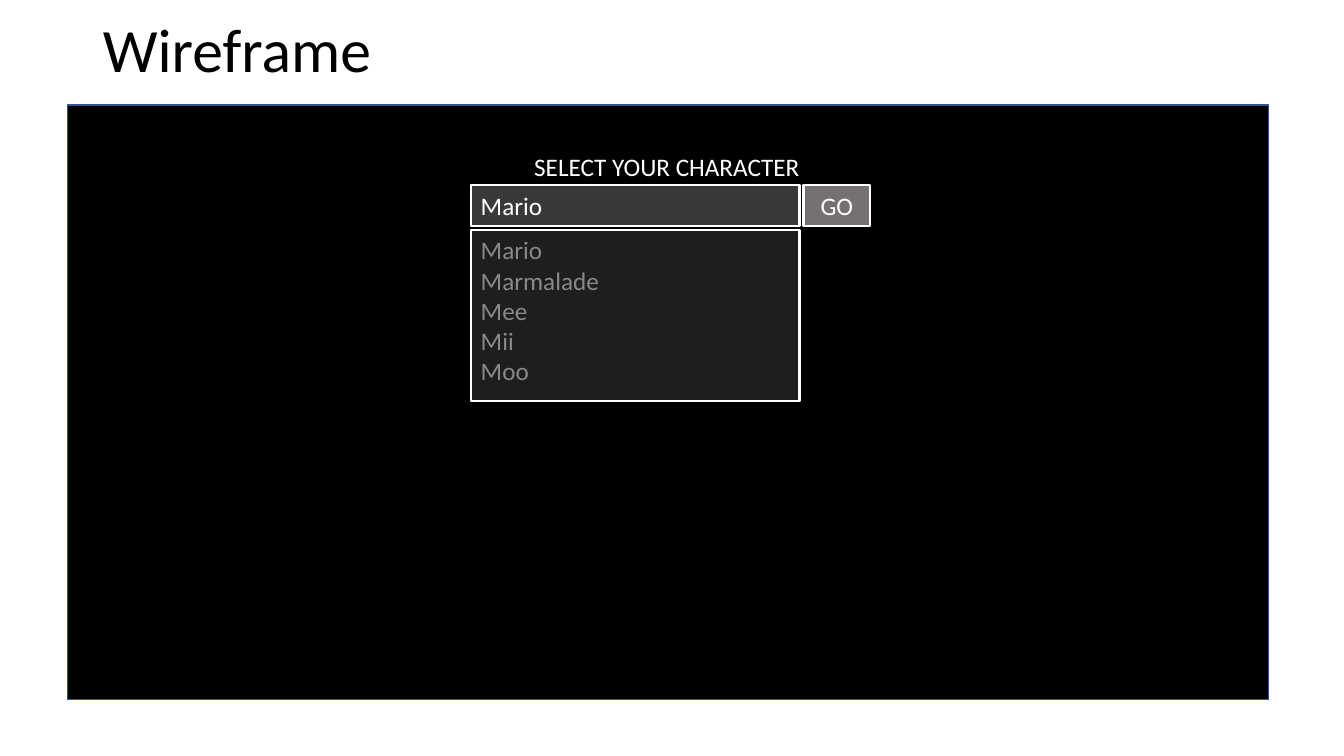
from lxml import etree
from pptx import Presentation
from pptx import util as u
from pptx.dml.color import RGBColor
from pptx.enum import shapes, text
from pptx.oxml import ns

BLACK = RGBColor(0x00, 0x00, 0x00)
WHITE = RGBColor(0xFF, 0xFF, 0xFF)
FRAME_BLUE = RGBColor(0x32, 0x54, 0x91)
FIELD_GREY = RGBColor(0x3B, 0x38, 0x38)
BUTTON_GREY = RGBColor(0x76, 0x71, 0x71)

WIDTH, HEIGHT = 13.33, 7.5
FIELD_LEFT, FIELD_TOP = 4.67, 1.84
FIELD_WIDTH, FIELD_HEIGHT = 3.26, 0.4
GAP = 0.04
NAMES = ["Mario", "Marmalade", "Mee", "Mii", "Moo"]


def place(sp, left, top, width, height):
    """Move and size a shape in inches."""
    sp.left, sp.top = u.Inches(left), u.Inches(top)
    sp.width, sp.height = u.Inches(width), u.Inches(height)


def set_opacity(element, query, percent):
    """Make the colours that a query finds partly transparent."""
    for color in element.xpath(query):
        alpha = etree.SubElement(color, ns.qn("a:alpha"))
        alpha.set("val", str(percent * 1000))


def write(sp, content, size=18, color=WHITE, align=text.PP_ALIGN.LEFT):
    """Put one formatted paragraph into a shape."""
    p = sp.text_frame.paragraphs[0]
    p.text = content
    p.alignment = align
    for r in p.runs:
        r.font.size = u.Pt(size)
        r.font.name = "Calibri"
        r.font.color.rgb = color
    return p


def add_title(s, content):
    """Fill the title placeholder."""
    sp = s.shapes.title
    place(sp, 0.92, 0, 5.56, 1.04)
    tf = sp.text_frame
    tf.auto_size = text.MSO_AUTO_SIZE.NONE
    tf.vertical_anchor = text.MSO_ANCHOR.MIDDLE
    write(sp, content, 44, BLACK).line_spacing = 0.9


def add_box(s, bounds, fill, line=WHITE, weight=1.5):
    """Draw a plain outlined rectangle."""
    sp = s.shapes.add_shape(shapes.MSO_SHAPE.RECTANGLE, *map(u.Inches, bounds))
    sp.shadow.inherit = False
    sp.fill.solid()
    sp.fill.fore_color.rgb = fill
    sp.line.color.rgb = line
    sp.line.width = u.Pt(weight)
    sp.text_frame.vertical_anchor = text.MSO_ANCHOR.MIDDLE
    return sp


def add_label(s, bounds, content):
    """Add a one-line text box that fits its text."""
    sp = s.shapes.add_textbox(*map(u.Inches, bounds))
    sp.text_frame.word_wrap = False
    sp.text_frame.auto_size = text.MSO_AUTO_SIZE.SHAPE_TO_FIT_TEXT
    write(sp, content)


def add_dropdown(s, bounds, names):
    """Draw the translucent list of suggestions."""
    sp = add_box(s, bounds, FIELD_GREY)
    sp.text_frame.vertical_anchor = text.MSO_ANCHOR.TOP
    write(sp, "\n".join(names))
    set_opacity(sp._element, "./p:spPr/a:solidFill/a:srgbClr", 53)
    set_opacity(sp._element, ".//a:rPr/a:solidFill/a:srgbClr", 48)


def main():
    """Build the wireframe slide."""
    prs = Presentation()
    prs.slide_width, prs.slide_height = u.Inches(WIDTH), u.Inches(HEIGHT)
    s = prs.slides.add_slide(prs.slide_layouts[5])

    add_title(s, "Wireframe")
    add_box(s, (0.67, 1.04, 11.91, 5.9), BLACK, FRAME_BLUE, 1)
    add_label(s, (5.2, 1.45, 2.94, 0.4), "SELECT YOUR CHARACTER")

    field = add_box(s, (FIELD_LEFT, FIELD_TOP, FIELD_WIDTH, FIELD_HEIGHT), FIELD_GREY)
    write(field, NAMES[0])
    button_left = FIELD_LEFT + FIELD_WIDTH + GAP
    button = add_box(s, (button_left, FIELD_TOP, 0.66, FIELD_HEIGHT), BUTTON_GREY)
    write(button, "GO", align=text.PP_ALIGN.CENTER)
    list_top = FIELD_TOP + FIELD_HEIGHT + GAP
    add_dropdown(s, (FIELD_LEFT, list_top, FIELD_WIDTH, 1.7), NAMES)

    prs.save("out.pptx")


if __name__ == "__main__":
    main()
